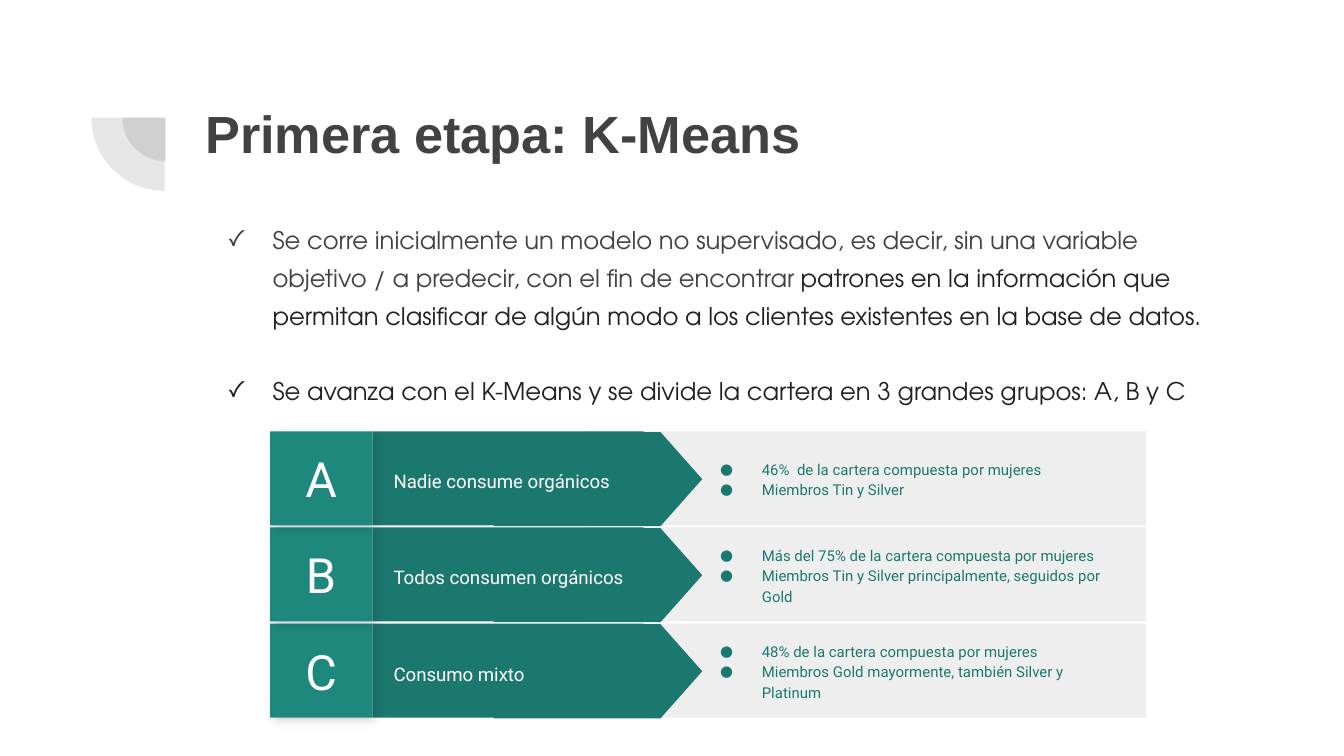
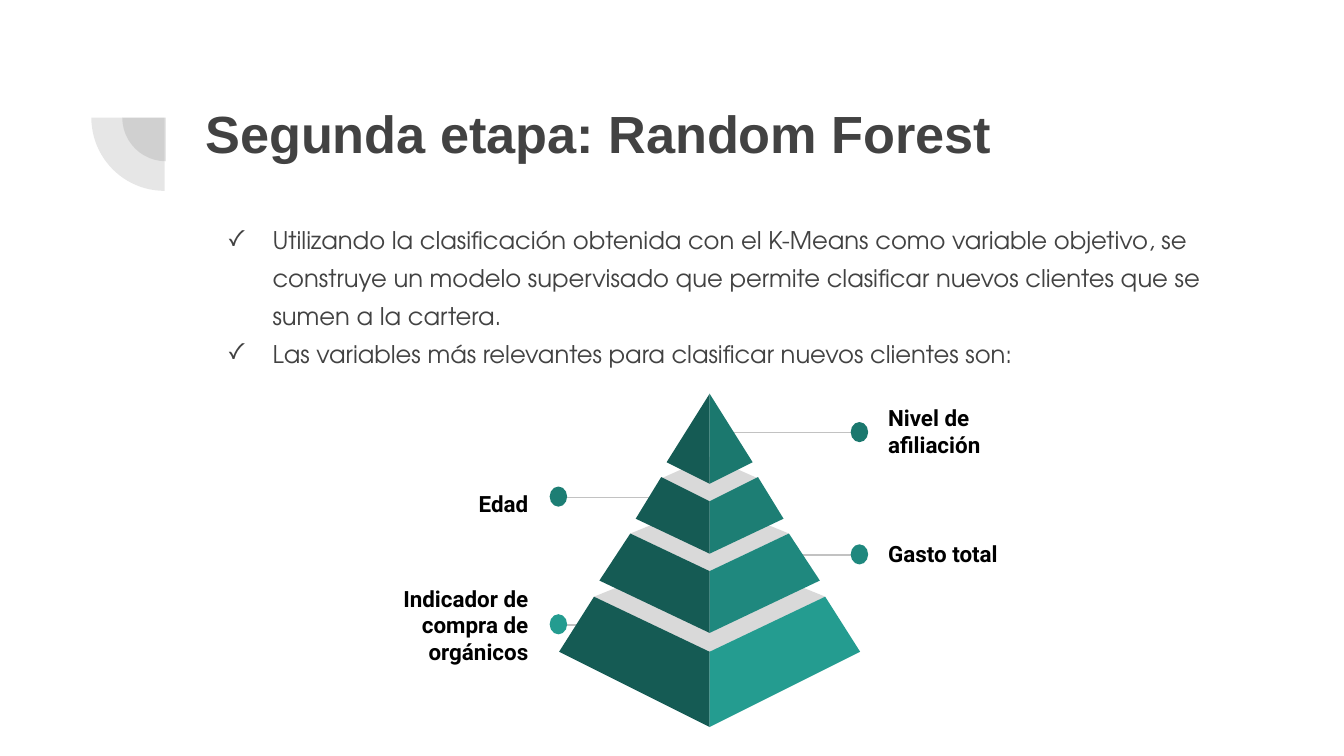
import lxml.etree
import pptx
import pptx.dml.color
import pptx.enum.shapes
import pptx.enum.text
import pptx.oxml.ns
import pptx.util

Inches = pptx.util.Inches
Pt = pptx.util.Pt
RGB = pptx.dml.color.RGBColor.from_string
Shape = pptx.enum.shapes.MSO_SHAPE
Align = pptx.enum.text.PP_ALIGN
Anchor = pptx.enum.text.MSO_ANCHOR
qn = pptx.oxml.ns.qn


class Theme:
    grey, ink, black, white = "424242", "212121", "000000", "FFFFFF"
    panel, lid, rule = "EEEEEE", "D9D9D9", "C2C2C2"
    shade = "155B54"
    teals = ["1B786E", "1D7E74", "1F887E", "249C90"]
    title = {"font": {"name": "Arial", "size": Pt(28), "bold": True}}
    body = {"font": {"name": "TeX Gyre Adventor", "size": Pt(13)},
            "para": {"line_spacing": 1.3}, "bullet": ("✓", 0.34)}
    letter = {"font": {"name": "Roboto", "size": Pt(26)},
              "para": {"alignment": Align.CENTER}, "anchor": Anchor.MIDDLE}
    group = {"font": {"name": "Roboto", "size": Pt(10)},
             "para": {"line_spacing": 1.15}, "anchor": Anchor.MIDDLE}
    detail = {"font": {"name": "Roboto", "size": Pt(8)}, "para": {"line_spacing": 1.15},
              "bullet": ("●", 0.31), "anchor": Anchor.MIDDLE}
    label = {"font": {"name": "Roboto", "size": Pt(12), "bold": True}, "anchor": Anchor.MIDDLE}


def paint(shape, colour):
    """Give the shape a plain fill with neither outline nor shadow."""
    shape.shadow.inherit = False
    shape.fill.solid()
    shape.fill.fore_color.rgb = RGB(colour)
    shape.line.fill.background()
    return shape


def write(box, paragraphs, style):
    """Fill the box; each paragraph is a list of (text, colour) spans."""
    frame = box.text_frame
    frame.word_wrap = True
    frame.vertical_anchor = style.get("anchor", Anchor.TOP)
    for side in ("left", "top", "right", "bottom"):
        setattr(frame, f"margin_{side}", Inches(0.1))
    for index, spans in enumerate(paragraphs):
        para = frame.add_paragraph() if index else frame.paragraphs[0]
        for name, value in style.get("para", {}).items():
            setattr(para, name, value)
        for text, colour in spans:
            span = para.add_run()
            span.text = text
            span.font.color.rgb = RGB(colour)
            for name, value in style["font"].items():
                setattr(span.font, name, value)
        if "bullet" in style:
            symbol, hang = style["bullet"]
            props = para._p.get_or_add_pPr()
            props.set("marL", str(Inches(0.5)))
            props.set("indent", str(-Inches(hang)))
            tint = lxml.etree.SubElement(props, qn("a:buClr"))
            lxml.etree.SubElement(tint, qn("a:srgbClr"), val=spans[0][1])
            lxml.etree.SubElement(props, qn("a:buFont"), typeface=style["font"]["name"])
            lxml.etree.SubElement(props, qn("a:buChar"), char=symbol)
    return frame


deck = pptx.Presentation()
deck.slide_width, deck.slide_height = Inches(10), Inches(10 * 9 / 16)

# Shared frame: corner arcs, title and bulleted text
stages = [
    ("Primera etapa: K-Means", [
        [("Se corre inicialmente un modelo no supervisado, es decir, sin una variable objetivo / "
          "a predecir, con el fin de encontrar ", Theme.grey),
         ("patrones en la información que permitan clasificar de algún modo a los clientes "
          "existentes en la base de datos.", Theme.ink)],
        [("Se avanza con el K-Means y se divide la cartera en 3 grandes grupos: A, B y C",
          Theme.ink)]]),
    ("Segunda etapa: Random Forest", [
        [("Utilizando la clasificación obtenida con el K-Means como variable objetivo, se "
          "construye un modelo supervisado que permite clasificar nuevos clientes que se sumen "
          "a la cartera.", Theme.grey)],
        [("Las variables más relevantes para clasificar nuevos clientes son:", Theme.grey)]]),
]
pages, bodies = [], []
for title, points in stages:
    page = deck.slides.add_slide(deck.slide_layouts[6])
    for left, top, size in [(0.91, 0.55, 0.65), (0.68, 0.33, 1.09)]:
        arc = page.shapes.add_shape(Shape.PIE, *map(Inches, (left, top, size, size)))
        arc.adjustments[0], arc.adjustments[1] = 108, 162
        arc.rotation = 270
        paint(arc, Theme.grey)
        tint = arc._element.spPr.find(qn("a:solidFill"))[0]
        lxml.etree.SubElement(tint, qn("a:alpha"), val="13000")
    heading = page.shapes.add_textbox(*map(Inches, (1.43, 0.65, 7.69, 1.09)))
    write(heading, [[(title, Theme.grey)]], Theme.title)
    body = page.shapes.add_textbox(*map(Inches, (1.43, 1.51, 7.69, 2.78)))
    bodies.append(write(body, points, Theme.body))
    pages.append(page)
bodies[0].paragraphs[1].space_before = Pt(20)

# Customer groups, stacked upwards so that each shadow falls on the row below
shapes = pages[0].shapes
groups = [
    ("A", "Nadie consume orgánicos",
     ["46%  de la cartera compuesta por mujeres", "Miembros Tin y Silver"]),
    ("B", "Todos consumen orgánicos",
     ["Más del 75% de la cartera compuesta por mujeres",
      "Miembros Tin y Silver principalmente, seguidos por Gold"]),
    ("C", "Consumo mixto",
     ["48% de la cartera compuesta por mujeres",
      "Miembros Gold mayormente, también Silver y Platinum"]),
]
row_height = 0.7
for row, (letter, name, details) in reversed(list(enumerate(groups))):
    top = 3.21 + 1.43 * row / 2
    for left, width, colour in [(4.35, 4.18, Theme.panel), (2.77, 2.02, Theme.teals[0])]:
        paint(shapes.add_shape(Shape.RECTANGLE, *map(Inches, (left, top, width, row_height))),
              colour)
    arrow = shapes.add_shape(Shape.FLOWCHART_OFFPAGE_CONNECTOR,
                             *map(Inches, (4.1, top - 0.42, row_height, 1.55)))
    arrow.rotation = 270
    paint(arrow, Theme.teals[0])
    box = shapes.add_textbox(*map(Inches, (2.83, top + 0.09, 2.12, 0.54)))
    write(box, [[(name, Theme.white)]], Theme.group)

    square = shapes.add_shape(Shape.RECTANGLE, *map(Inches, (2.01, top, 0.76, row_height)))
    paint(square, Theme.teals[2])
    effects = square._element.spPr.find(qn("a:effectLst"))
    shadow = lxml.etree.SubElement(effects, qn("a:outerShdw"), blurRad=str(Pt(5.6)),
                                   dist=str(Pt(2.2)), dir="2700000", rotWithShape="0")
    tint = lxml.etree.SubElement(shadow, qn("a:srgbClr"), val=Theme.black)
    lxml.etree.SubElement(tint, qn("a:alpha"), val="17000")
    write(square, [[(letter, Theme.white)]], Theme.letter)

    box = shapes.add_textbox(*map(Inches, (5.07, top, 3.25, row_height)))
    write(box, [[(detail, Theme.teals[0])] for detail in details], Theme.detail)

# Variable labels: text, side, text top, line height, line start, tier
shapes = pages[1].shapes
labels = [
    ("Nivel de afiliación", "right", 2.81, 3.22, 5.45, 0),
    ("Edad", "left", 3.35, 3.7, 4.83, 1),
    ("Gasto total", "right", 3.72, 4.13, 5.96, 2),
    ("Indicador de compra de orgánicos", "left", 4.25, 4.65, 4.83, 3),
]
sides = {"left": (2.7, 4.1, 4.09, Align.RIGHT), "right": (6.51, 6.44, 6.33, Align.LEFT)}
for text, side, text_top, line_y, line_start, tier in labels:
    text_left, line_end, dot_left, alignment = sides[side]
    box = shapes.add_textbox(*map(Inches, (text_left, text_top, 1.33, 0.8)))
    write(box, [[(text, Theme.black)]], {**Theme.label, "para": {"alignment": alignment}})
    line = shapes.add_connector(pptx.enum.shapes.MSO_CONNECTOR.STRAIGHT,
                                *map(Inches, (line_start, line_y, line_end, line_y)))
    line.line.color.rgb = RGB(Theme.rule)
    line.line.width = Pt(0.75)
    lxml.etree.SubElement(line._element.spPr, qn("a:effectLst"))
    dot = shapes.add_shape(Shape.OVAL, *map(Inches, (dot_left, line_y - 0.08, 0.13, 0.15)))
    paint(dot, Theme.teals[tier])

# Pyramid outlines, as (offset from the axis, y)
axis = 5.28
lids = [(0.86, 4.44, 4.86, 4.09), (0.59, 3.97, 4.25, 3.73), (0.36, 3.56, 3.73, 3.4)]
outlines = [([(-half, side_y), (0, front_y), (half, side_y), (0, back_y)], Theme.lid)
            for half, side_y, front_y, back_y in lids]
# Top half-width and y, bottom half-width and y, front edge top and bottom
tiers = [
    (0, 2.93, 0.32, 3.44, 2.93, 3.6),
    (0.36, 3.55, 0.55, 3.86, 3.73, 4.12),
    (0.59, 3.97, 0.82, 4.32, 4.25, 4.71),
    (0.86, 4.44, 1.12, 4.85, 4.85, 5.41),
]
for teal, (top_half, top_y, low_half, low_y, edge_top, edge_low) in zip(Theme.teals, tiers):
    for sign, colour in [(-1, Theme.shade), (1, teal)]:
        outlines.append(([(sign * top_half, top_y), (sign * low_half, low_y),
                          (0, edge_low), (0, edge_top)], colour))
for points, colour in outlines:
    corners = [(Inches(axis + offset), Inches(y)) for offset, y in points]
    outline = shapes.build_freeform(*corners[0])
    outline.add_line_segments(corners[1:], close=True)
    paint(outline.convert_to_shape(), colour)

deck.save("out.pptx")
